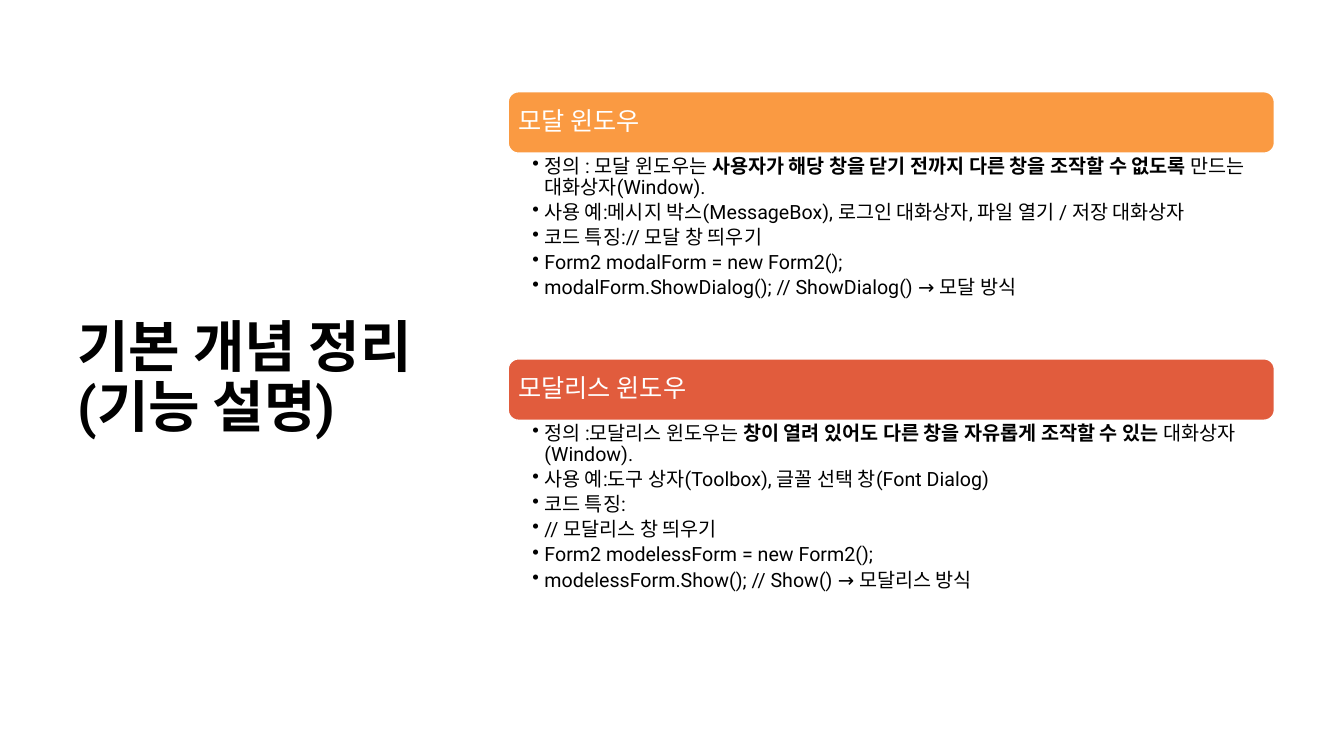
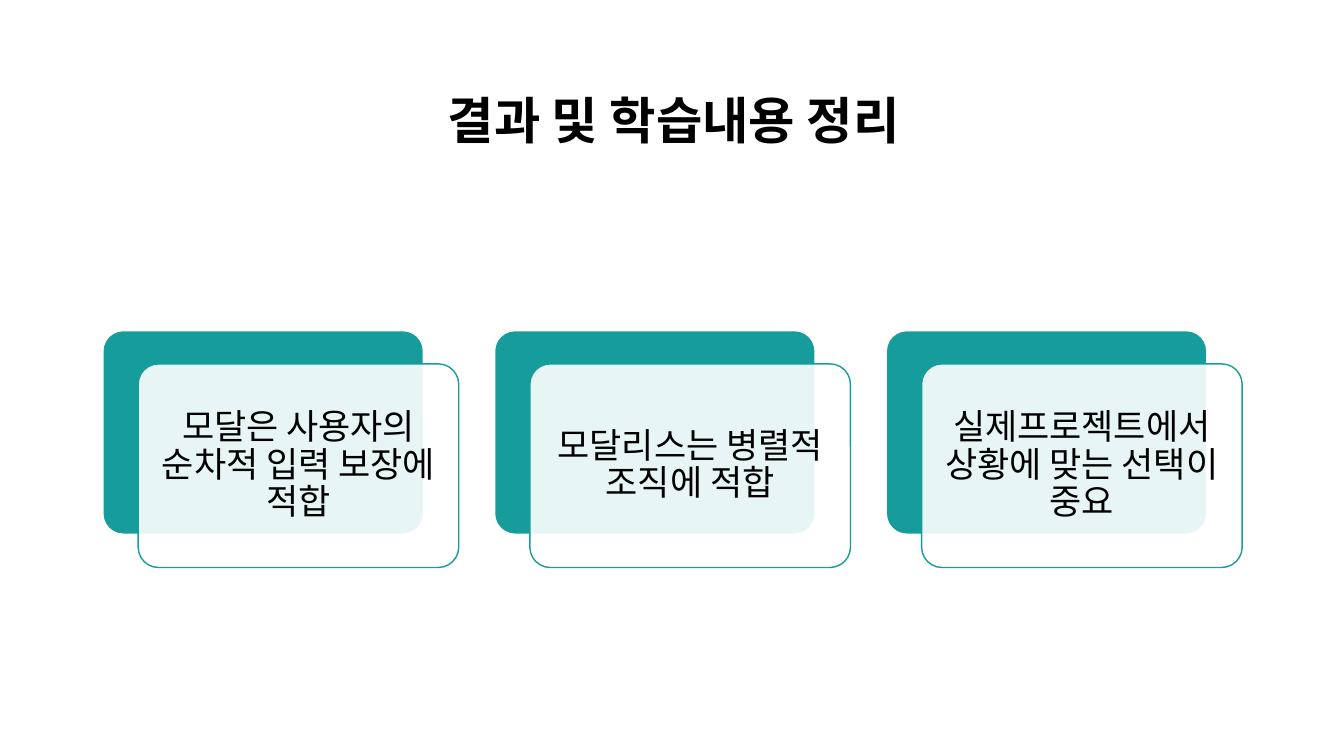
from lxml import etree
from pptx import Presentation
from pptx.dml.color import RGBColor
from pptx.enum.shapes import MSO_SHAPE
from pptx.enum.text import MSO_ANCHOR, PP_ALIGN
from pptx.oxml.ns import qn
from pptx.util import Inches, Pt

ROUNDED = MSO_SHAPE.ROUNDED_RECTANGLE
TOP, MIDDLE = MSO_ANCHOR.TOP, MSO_ANCHOR.MIDDLE
LEFT, CENTER = PP_ALIGN.LEFT, PP_ALIGN.CENTER

FONT = "Roboto"
COLORS = {
    "text": "000000",
    "white": "FFFFFF",
    "modal": "FA9A42",
    "modeless": "E15C3D",
    "card": "169C9A",
}

# Each section: heading, colour, top, body height, bullets.
# A bullet is a list of text pieces; every second piece is bold.
SECTIONS = [
    ("모달 윈도우", "modal", 0.91, 2.04, [
        ["정의 : 모달 윈도우는 ",
         "사용자가 해당 창을 닫기 전까지 다른 창을 조작할 수 없도록",
         " 만드는 대화상자(Window)."],
        ["사용 예:메시지 박스(MessageBox), 로그인 대화상자, 파일 열기 / 저장 대화상자"],
        ["코드 특징:// 모달 창 띄우기"],
        ["Form2 modalForm = new Form2();"],
        ["modalForm.ShowDialog(); // ShowDialog() → 모달 방식"],
    ]),
    ("모달리스 윈도우", "modeless", 3.56, 2.44, [
        ["정의 :모달리스 윈도우는 ",
         "창이 열려 있어도 다른 창을 자유롭게 조작할 수 있는",
         " 대화상자(Window)."],
        ["사용 예:도구 상자(Toolbox), 글꼴 선택 창(Font Dialog)"],
        ["코드 특징:"],
        ["// 모달리스 창 띄우기"],
        ["Form2 modelessForm = new Form2();"],
        ["modelessForm.Show(); // Show() → 모달리스 방식"],
    ]),
]
SECTION_LEFT, SECTION_WIDTH, BAND_HEIGHT = 5.04, 7.6, 0.61

TAKEAWAYS = [
    "모달은 사용자의 순차적 입력 보장에 적합",
    "모달리스는 병렬적 조직에 적합",
    "실제프로젝트에서 상황에 맞는 선택이 중요",
]
CARD_LEFT, CARD_TOP, CARD_STEP = 1.02, 3.28, 3.885
CARD_WIDTH, CARD_HEIGHT = 3.18, 2.02
CARD_SHIFT_X, CARD_SHIFT_Y = 0.35, 0.33


def rgb(name):
    return RGBColor.from_string(COLORS[name])


def set_frame(frame, anchor, insets):
    frame.word_wrap = True
    frame.vertical_anchor = anchor
    (frame.margin_left, frame.margin_top,
     frame.margin_right, frame.margin_bottom) = map(Inches, insets)


def style_paragraph(paragraph, size, color="text", bold=False, align=LEFT, after=0):
    paragraph.alignment = align
    paragraph.line_spacing = 0.9
    paragraph.space_after = Pt(after)
    font = paragraph.font
    font.name, font.size, font.bold = FONT, Pt(size), bold
    font.color.rgb = rgb(color)


def add_bullet(paragraph):
    properties = paragraph._p.get_or_add_pPr()
    indent = Inches(0.12)
    properties.set("marL", str(indent))
    properties.set("indent", str(-indent))
    etree.SubElement(properties, qn("a:buChar")).set("char", "•")


def add_title(slide, text, box, size, align):
    frame = slide.shapes.add_textbox(*map(Inches, box)).text_frame
    set_frame(frame, MIDDLE, (0.1, 0.05, 0.1, 0.05))
    frame.text = text
    style_paragraph(frame.paragraphs[0], size, bold=True, align=align)


def add_rounded(slide, box, fill, line, corner, opacity=100):
    shape = slide.shapes.add_shape(ROUNDED, *map(Inches, box))
    shape.shadow.inherit = False
    shape.adjustments[0] = corner
    shape.fill.solid()
    shape.fill.fore_color.rgb = rgb(fill)
    shape.line.color.rgb = rgb(line)
    shape.line.width = Pt(1)
    if opacity < 100:
        fill_color = shape._element.spPr.find(qn("a:solidFill")).find(qn("a:srgbClr"))
        etree.SubElement(fill_color, qn("a:alpha")).set("val", str(opacity * 1000))
    return shape


def add_section(slide, heading, color, top, body_height, bullets):
    # Coloured heading band
    band = add_rounded(slide, (SECTION_LEFT, top, SECTION_WIDTH, BAND_HEIGHT),
                       color, "white", 0.17)
    set_frame(band.text_frame, MIDDLE, [0.07] * 4)
    band.text_frame.text = heading
    style_paragraph(band.text_frame.paragraphs[0], 18, "white", after=6.3)

    # Bulleted explanation
    body_box = (SECTION_LEFT, top + BAND_HEIGHT, SECTION_WIDTH, body_height)
    body = slide.shapes.add_textbox(*map(Inches, body_box)).text_frame
    set_frame(body, TOP, (0.24, 0.03, 0.14, 0.03))
    for index, pieces in enumerate(bullets):
        paragraph = body.add_paragraph() if index else body.paragraphs[0]
        add_bullet(paragraph)
        style_paragraph(paragraph, 14, after=2.8)
        for position, piece in enumerate(pieces):
            run = paragraph.add_run()
            run.text = piece
            if position % 2:
                run.font.bold = True


def add_card(slide, left, text):
    add_rounded(slide, (left, CARD_TOP, CARD_WIDTH, CARD_HEIGHT), "card", "white", 0.1)
    front_box = (left + CARD_SHIFT_X, CARD_TOP + CARD_SHIFT_Y, CARD_WIDTH, CARD_HEIGHT)
    front = add_rounded(slide, front_box, "white", "card", 0.1, opacity=90)
    set_frame(front.text_frame, MIDDLE, [0.1] * 4)
    front.text_frame.text = text
    style_paragraph(front.text_frame.paragraphs[0], 25, align=CENTER, after=8.75)


def main():
    deck = Presentation()
    deck.slide_width, deck.slide_height = Inches(13.33), Inches(7.5)
    blank = deck.slide_layouts[6]

    # Basic concepts
    concepts = deck.slides.add_slide(blank)
    add_title(concepts, "기본 개념 정리(기능 설명)", (0.67, 0.6, 3.82, 6.33), 40, LEFT)
    for section in SECTIONS:
        add_section(concepts, *section)

    # Results and lessons
    results = deck.slides.add_slide(blank)
    add_title(results, "결과 및 학습내용 정리", (1.67, 0.6, 10.02, 1.24), 36, CENTER)
    for index, takeaway in enumerate(TAKEAWAYS):
        add_card(results, CARD_LEFT + index * CARD_STEP, takeaway)

    deck.save("out.pptx")


if __name__ == "__main__":
    main()
